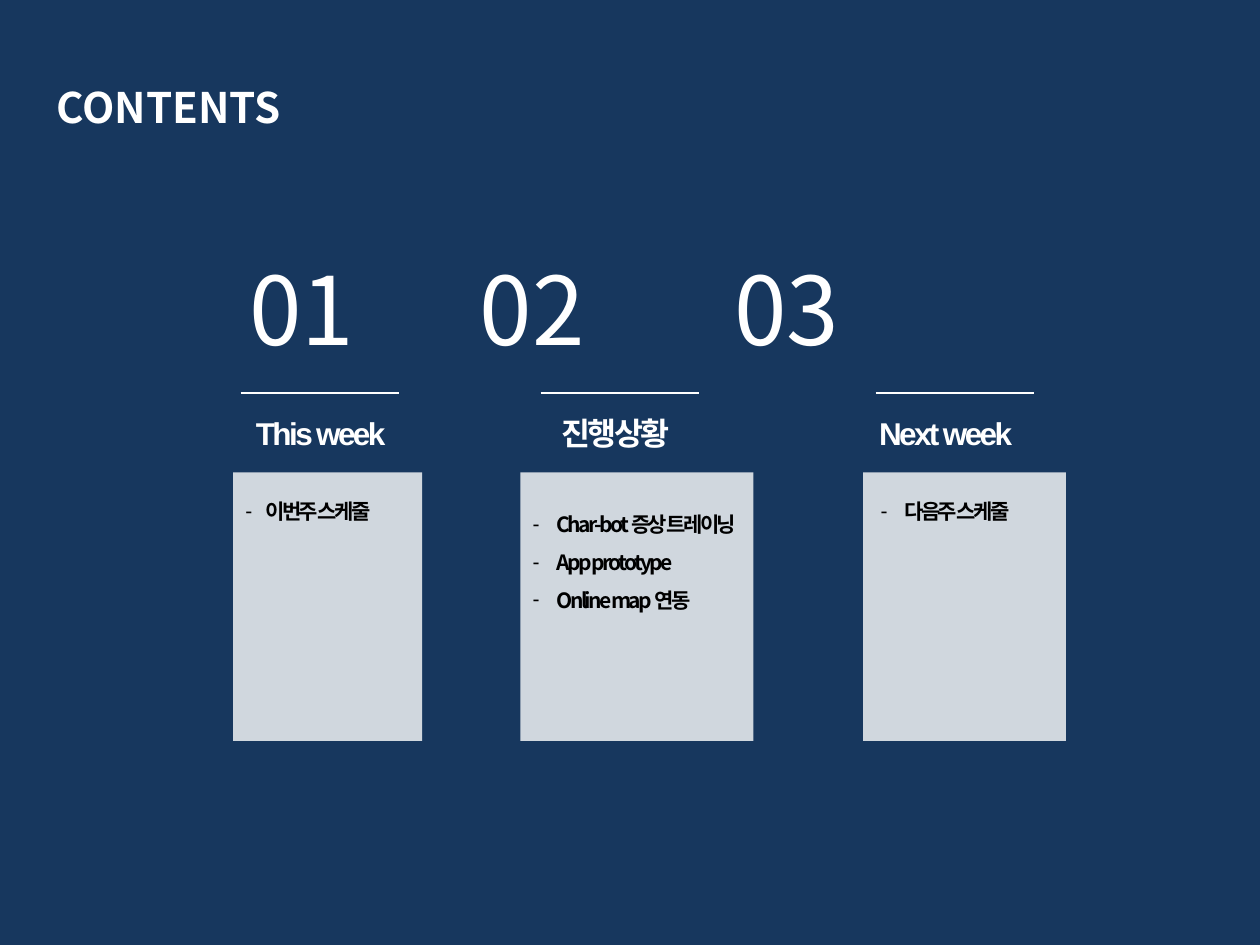
from dataclasses import dataclass

from lxml import etree
from pptx import Presentation
from pptx.dml.color import RGBColor
from pptx.enum.shapes import MSO_CONNECTOR, MSO_SHAPE
from pptx.enum.text import PP_ALIGN
from pptx.oxml.ns import qn
from pptx.util import Inches, Pt


@dataclass(frozen=True)
class Theme:
    """Colours, fonts and type sizes of the slide."""
    navy: RGBColor = RGBColor(0x17, 0x37, 0x5E)
    white: RGBColor = RGBColor(0xFF, 0xFF, 0xFF)
    black: RGBColor = RGBColor(0, 0, 0)
    sans: str = "Noto Sans CJK KR"
    latin: str = "Arial"
    title: Pt = Pt(24)
    number: Pt = Pt(54)
    heading: Pt = Pt(18)
    body: Pt = Pt(12)


T = Theme()
TIGHT = -150
TITLE = {"size": T.title, "name": T.sans, "bold": True}
NUMBER = {"size": T.number, "name": T.sans, "bold": False}
HEADING = {"size": T.heading, "name": T.latin, "bold": True}
BODY = {"size": T.body, "name": T.sans, "bold": True}

COLUMNS = [
    {"panel": (1.85, 1.5), "rule": 1.91, "heading": (1.6, 1.89, "This week"),
     "body": (1.85, 1.5, 0.71), "indent": 0.16, "spacing": 1.0,
     "items": ["이번주 스케줄"]},
    {"panel": (4.13, 1.85), "rule": 4.29, "heading": (3.47, 2.83, "진행상황"),
     "body": (4.13, 1.97, 2.12), "indent": 0.19, "spacing": 1.5,
     "items": ["Char-bot 증상 트레이닝", "App prototype", "Online map 연동"]},
    {"panel": (6.85, 1.61), "rule": 6.95, "heading": (6.09, 2.83, "Next week"),
     "body": (6.89, 1.5, 0.5), "indent": 0.19, "spacing": 1.0,
     "items": ["다음주 스케줄"]},
]


def add_text(s, box, lines, style, color, spacing=0):
    """Add a text box with one paragraph per line and return its paragraphs."""
    tf = s.shapes.add_textbox(*map(Inches, box)).text_frame
    tf.word_wrap = True
    for i, line in enumerate(lines):
        p = tf.add_paragraph() if i else tf.paragraphs[0]
        r = p.add_run()
        r.text = line
        for key, value in style.items():
            setattr(r.font, key, value)
        r.font.color.rgb = color
        rPr = r.font._element
        etree.SubElement(rPr, qn("a:ea"), typeface=T.sans)
        if spacing:
            rPr.set("spc", str(spacing))
    return tf.paragraphs


def add_numbers(s, box, numbers, stops):
    """Add the large numbers in one row, each at its own tab stop."""
    p = add_text(s, box, ["".join(f"\t{n}" for n in numbers)], NUMBER, T.white)[0]
    tabs = etree.SubElement(p._p.get_or_add_pPr(), qn("a:tabLst"))
    for stop in stops:
        etree.SubElement(tabs, qn("a:tab"), pos=str(Inches(stop)), algn="l")


def add_panel(s, box):
    """Add a translucent white panel."""
    sp = s.shapes.add_shape(MSO_SHAPE.RECTANGLE, *map(Inches, box))
    sp.shadow.inherit = False
    sp.fill.solid()
    sp.fill.fore_color.rgb = T.white
    sp.line.fill.background()
    clr = sp._element.spPr.find(qn("a:solidFill"))[0]
    etree.SubElement(clr, qn("a:alpha"), val="80000")


def add_rule(s, left, top, width):
    """Add a thin horizontal white line."""
    line = s.shapes.add_connector(
        MSO_CONNECTOR.STRAIGHT, *map(Inches, (left, top, left + width, top)))
    line.line.color.rgb = T.white
    line.line.width = Pt(0.75)
    etree.SubElement(line._element.spPr, qn("a:effectLst"))


def add_list(s, box, items, indent, spacing):
    """Add a dashed list with a hanging indent."""
    for p in add_text(s, box, items, BODY, T.black, TIGHT):
        p.line_spacing = spacing
        pPr = p._p.get_or_add_pPr()
        pPr.set("marL", str(Inches(indent)))
        pPr.set("indent", str(-Inches(indent)))
        etree.SubElement(pPr, qn("a:buFont"), typeface=T.latin)
        etree.SubElement(pPr, qn("a:buChar"), char="-")


def add_column(s, col, top):
    """Add one column: rule, heading, panel and list below the given top."""
    left, width = col["panel"]
    add_panel(s, (left, top + 0.63, width, 2.13))
    add_rule(s, col["rule"], top, 1.26)
    left, width, text = col["heading"]
    p = add_text(s, (left, top + 0.12, width, 0.4), [text], HEADING, T.white, TIGHT)[0]
    p.alignment = PP_ALIGN.CENTER
    left, width, height = col["body"]
    add_list(s, (left, top + 0.79, width, height),
             col["items"], col["indent"], col["spacing"])


def main():
    """Build and save the contents slide."""
    prs = Presentation()
    prs.slide_width, prs.slide_height = Inches(10), Inches(7.5)
    s = prs.slides.add_slide(prs.slide_layouts[6])
    s.background.fill.solid()
    s.background.fill.fore_color.rgb = T.navy
    add_text(s, (0.35, 0.6, 4.57, 0.5), ["CONTENTS"], TITLE, T.white)
    add_numbers(s, (0.28, 1.94, 9.29, 1.01), ["01", "02", "03"], [1.6, 3.43, 5.45])
    for col in COLUMNS:
        add_column(s, col, 3.12)
    prs.save("out.pptx")


if __name__ == "__main__":
    main()
